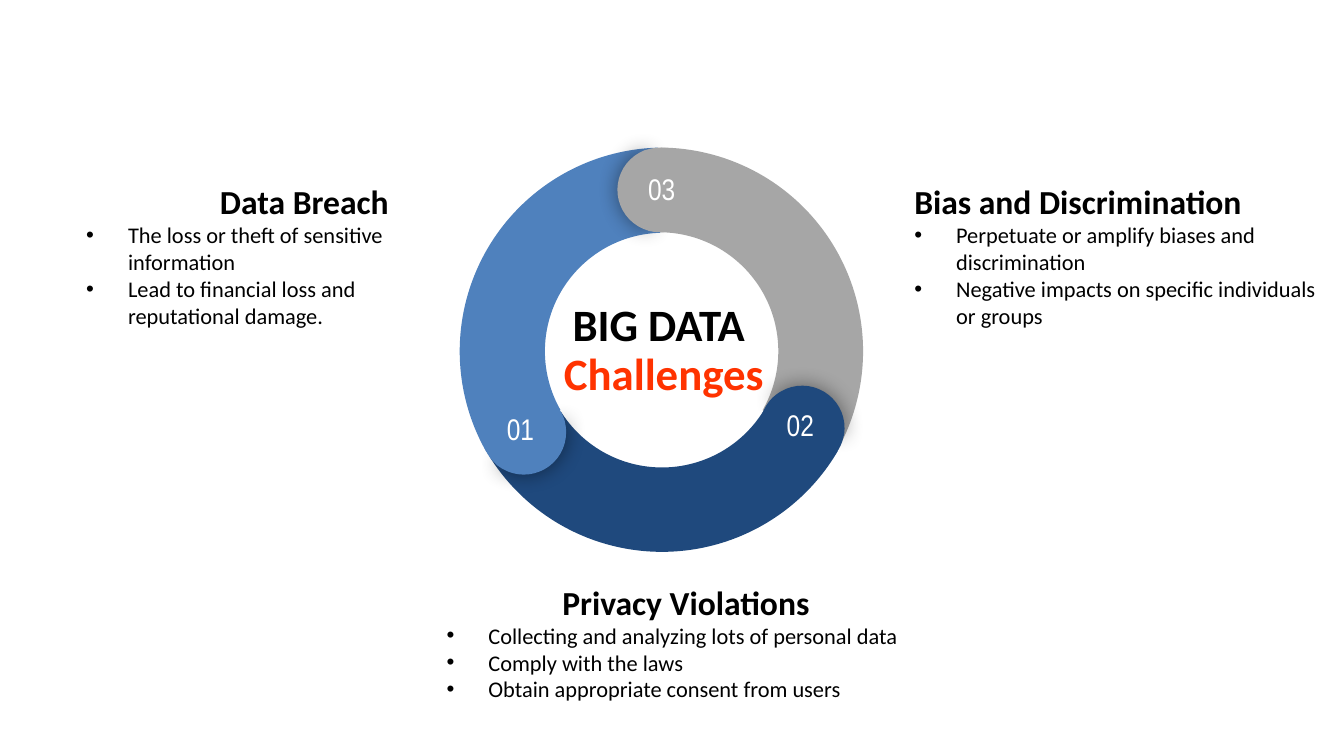
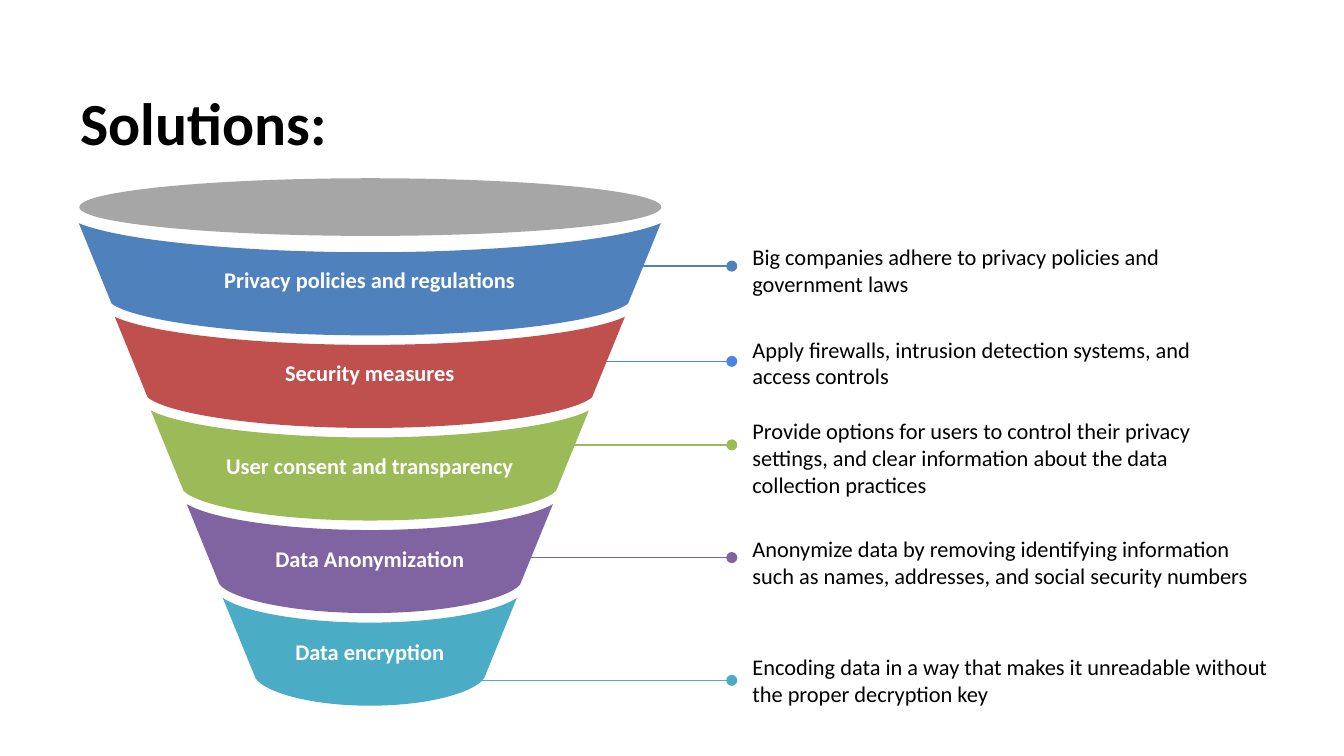
from copy import deepcopy
from typing import NamedTuple

from lxml import etree
from pptx import Presentation
from pptx.dml.color import RGBColor
from pptx.enum.shapes import MSO_CONNECTOR, MSO_SHAPE
from pptx.enum.text import MSO_ANCHOR, MSO_AUTO_SIZE, PP_ALIGN
from pptx.oxml.ns import qn
from pptx.util import Cm, Pt

ARC, PIE, OVAL = MSO_SHAPE.BLOCK_ARC, MSO_SHAPE.PIE, MSO_SHAPE.OVAL
STRAIGHT = MSO_CONNECTOR.STRAIGHT
TOP, MIDDLE, BOTTOM = MSO_ANCHOR.TOP, MSO_ANCHOR.MIDDLE, MSO_ANCHOR.BOTTOM
LEFT, CENTER, RIGHT = PP_ALIGN.LEFT, PP_ALIGN.CENTER, PP_ALIGN.RIGHT
NO_AUTOFIT = MSO_AUTO_SIZE.NONE
COMPARISON_LAYOUT, TITLE_LAYOUT = 4, 5

COLORS = {
    "black": "000000", "white": "FFFFFF", "gray": "A6A6A6", "navy": "1F497D",
    "blue": "4F81BD", "bright blue": "4A86E8", "red": "C0504D", "orange": "FF3300",
    "green": "9BBB59", "purple": "8064A2", "teal": "4BACC6",
}


# Records; all lengths in centimetres
class Box(NamedTuple):
    left: float
    top: float
    width: float
    height: float


class RingPart(NamedTuple):
    number: str
    color: str
    arc: Box
    arc_rotation: float
    arc_end: float
    thickness_percent: float
    cap: Box
    cap_rotation: float
    label: Box


class Challenge(NamedTuple):
    heading: str
    align: PP_ALIGN
    points: tuple
    box: Box


class Solution(NamedTuple):
    label: str
    color: str
    line_color: str
    line_start: float
    line_y: float
    note: str
    note_box: Box


RING = (
    RingPart("03 ", "gray", Box(8.61, 2.79, 7.7, 7.7), 60, 197.82, 20.8,
             Box(11.67, 2.79, 1.6, 1.6), 180, Box(11.86, 2.98, 1.42, 0.74)),
    RingPart("02 ", "navy", Box(8.66, 2.73, 7.7, 7.7), 180, 196.63, 20.7,
             Box(14.36, 7.29, 1.6, 1.6), 300, Box(14.48, 7.44, 1.42, 0.74)),
    RingPart("01 ", "blue", Box(8.69, 2.79, 7.7, 7.7), 300, 197.03, 20.9,
             Box(9.1, 7.37, 1.6, 1.6), 60, Box(9.19, 7.52, 1.42, 0.74)),
)
ARC_START = 126.22
SHADOWED_CAP, PLAIN_CAP = (61.9, 149.96), (40.28, 171.84)

CHALLENGES = (
    Challenge("Data Breach", RIGHT,
              ("The loss or theft of sensitive information",
               "Lead to financial loss and reputational damage."),
              Box(1.38, 3, 6.22, 3.63)),
    Challenge("Privacy Violations", CENTER,
              ("Collecting and analyzing lots of personal data",
               "Comply with the laws",
               "Obtain appropriate consent from users"),
              Box(8.19, 10.66, 9.55, 2.95)),
    Challenge("Bias and Discrimination", LEFT,
              ("Perpetuate or amplify biases and discrimination",
               "Negative impacts on specific individuals or groups"),
              Box(17.03, 3, 8.15, 3.63)),
)

NOTE_LEFT, LINE_END = 14.22, 13.83
SOLUTIONS = (
    Solution("Privacy policies and regulations", "blue", "blue", 10.62, 5.03,
             "Big companies adhere to privacy policies and government laws",
             Box(NOTE_LEFT, 4.47, 9.04, 1.27)),
    Solution("Security measures", "red", "bright blue", 10.13, 6.83,
             "Apply firewalls, intrusion detection systems, and access controls",
             Box(NOTE_LEFT, 6.22, 9.04, 1.27)),
    Solution("User consent and transparency", "green", "green", 9.45, 8.41,
             "Provide options for users to control their privacy settings, "
             "and clear information about the data collection practices",
             Box(NOTE_LEFT, 7.75, 9.35, 1.8)),
    Solution("Data Anonymization", "purple", "purple", 8.89, 10.54,
             "Anonymize data by removing identifying information such as names, "
             "addresses, and social security numbers",
             Box(NOTE_LEFT, 9.73, 9.47, 1.8)),
    Solution("Data encryption", "teal", "teal", 8.26, 12.86,
             "Encoding data in a way that makes it unreadable without "
             "the proper decryption key",
             Box(NOTE_LEFT, 12.22, 9.83, 1.27)),
)


# Shared helpers
def rgb(name: str) -> RGBColor:
    return RGBColor.from_string(COLORS[name])


def lengths(box: Box) -> list:
    return [Cm(value) for value in box]


def add_text(paragraph, text: str, *, size: float = 12, color: str = "black",
             bold: bool = False, font: str = "Calibri", align=LEFT,
             bullet: bool = False, spacing: float = 1.0):
    """Add a formatted run and set the paragraph's own format."""
    properties = paragraph._p.get_or_add_pPr()
    if bullet:
        properties.set("marL", str(Cm(0.79)))
        properties.set("indent", str(-Cm(0.79)))
        bullet_color = etree.SubElement(properties, qn("a:buClr"))
        etree.SubElement(bullet_color, qn("a:srgbClr"), val=COLORS["black"])
        etree.SubElement(properties, qn("a:buFont"), typeface="Arial")
        etree.SubElement(properties, qn("a:buChar"), char="•")
    elif properties.find(qn("a:buNone")) is None:
        properties.set("marL", "0")
        properties.set("indent", "0")
        etree.SubElement(properties, qn("a:buNone"))
    paragraph.alignment = align
    paragraph.line_spacing = spacing
    paragraph.space_before = paragraph.space_after = Pt(0)
    run = paragraph.add_run()
    run.text = text
    run.font.name, run.font.size, run.font.bold = font, Pt(size), bold
    run.font.color.rgb = rgb(color)
    return run


def set_frame(shape, anchor, side: float = 0.25, edge: float = 0.25):
    frame = shape.text_frame
    frame.word_wrap = True
    frame.auto_size = NO_AUTOFIT
    frame.vertical_anchor = anchor
    frame.margin_left = frame.margin_right = Cm(side)
    frame.margin_top = frame.margin_bottom = Cm(edge)
    return frame


def place(shape, box: Box) -> None:
    shape.left, shape.top, shape.width, shape.height = lengths(box)


def set_title(slide, box: Box):
    """Place the title and return its first paragraph."""
    title = slide.shapes.title
    place(title, box)
    return set_frame(title, BOTTOM, edge=0.13).paragraphs[0]


def add_text_box(slide, box: Box, text: str, anchor, margin: float, **text_format) -> None:
    text_box = slide.shapes.add_textbox(*lengths(box))
    frame = set_frame(text_box, anchor, margin, margin)
    add_text(frame.paragraphs[0], text, **text_format)


def paint(shape, color: str) -> None:
    shape.fill.solid()
    shape.fill.fore_color.rgb = rgb(color)
    shape.line.fill.background()
    shape.shadow.inherit = False


def add_filled(slide, kind, box: Box, color: str, rotation: float = 0,
               adjustments: tuple = ()):
    shape = slide.shapes.add_shape(kind, *lengths(box))
    shape.rotation = rotation % 360
    for index, value in enumerate(adjustments):
        shape.adjustments[index] = value
    paint(shape, color)
    return shape


def add_soft_shadow(shape) -> None:
    effects = shape._element.spPr.find(qn("a:effectLst"))
    shadow = etree.SubElement(effects, qn("a:outerShdw"), blurRad=str(Pt(11.2)),
                              dist="0", dir="0", algn="ctr", rotWithShape="0")
    color = etree.SubElement(shadow, qn("a:srgbClr"), val=COLORS["black"])
    etree.SubElement(color, qn("a:alpha"), val="43000")


def add_dotted_line(slide, start: float, end: float, y: float, color: str) -> None:
    """Draw a level line with a dot at each end."""
    connector = slide.shapes.add_connector(STRAIGHT, Cm(start), Cm(y), Cm(end), Cm(y))
    connector.line.color.rgb = rgb(color)
    connector.line.width = Pt(0.75)
    line = connector.get_or_add_ln()
    for end_name in ("a:headEnd", "a:tailEnd"):
        etree.SubElement(line, qn(end_name), type="oval")
    etree.SubElement(connector._element.spPr, qn("a:effectLst"))


# Funnel geometry
FUNNEL_CENTER, FUNNEL_TOP, FUNNEL_STEP = 6.99, 4.22, 1.77


def bend(segment, controls: tuple) -> None:
    """Turn a straight segment into a cubic curve with two control points."""
    segment.tag = qn("a:cubicBezTo")
    for index, (x, y) in enumerate(controls):
        point = etree.Element(qn("a:pt"), x=str(Cm(x)), y=str(Cm(y)))
        segment.insert(index, point)


def add_funnel_band(slide, index: int, solution: Solution) -> None:
    top = FUNNEL_TOP + index * FUNNEL_STEP
    half_top = 5.5 - 0.68 * index
    half_bottom = half_top - 0.62
    sag = 0.55 - 0.02 * index
    corner, bottom = 1.52, 2.12 - 0.02 * index
    shoulder = (corner + bottom) / 2

    # Corners, clockwise from the upper left; x is measured from the left edge
    middle, width = half_top, 2 * half_top
    inset = half_top - half_bottom
    corners = ((0, 0), (middle, sag), (width, 0), (width - inset, corner),
               (middle, bottom), (inset, corner), (0, 0))
    points = [(Cm(FUNNEL_CENTER - half_top + x), Cm(top + y)) for x, y in corners]
    builder = slide.shapes.build_freeform(*points[0])
    builder.add_line_segments(points[1:], close=True)
    band = builder.convert_to_shape()

    # Curved upper and lower edges
    upper = ((middle - 0.85 * half_top, 0.62 * sag), (middle - 0.42 * half_top, sag))
    lower = ((middle + 0.92 * half_bottom, shoulder), (middle + 0.53 * half_bottom, bottom))
    segments = list(band._element.iter(qn("a:lnTo")))
    for first, controls in ((0, upper), (3, lower)):
        mirrored = tuple((width - x, y) for x, y in reversed(controls))
        bend(segments[first], controls)
        bend(segments[first + 1], mirrored)

    paint(band, solution.color)
    frame = set_frame(band, MIDDLE, 0.18, 0.1)
    add_text(frame.paragraphs[0], solution.label, color="white", bold=True, align=CENTER)


# Slides
def build_challenges(presentation) -> None:
    slide = presentation.slides.add_slide(presentation.slide_layouts[COMPARISON_LAYOUT])

    # Title in the middle of the ring
    paragraph = set_title(slide, Box(10.08, 5.48, 4.93, 2.21))
    title_format = {"size": 24, "bold": True, "align": CENTER, "spacing": 0.9}
    run = add_text(paragraph, "BIG DATA ", **title_format)
    paragraph.add_line_break()
    paragraph._p.find(qn("a:br")).append(deepcopy(run._r.rPr))
    add_text(paragraph, "Challenges", color="orange", **title_format)

    # Lists around the ring
    bodies = list(slide.placeholders)[1:]
    for body, challenge in zip(bodies, CHALLENGES):
        place(body, challenge.box)
        frame = set_frame(body, MIDDLE)
        add_text(frame.paragraphs[0], challenge.heading, size=18, bold=True,
                 align=challenge.align)
        for point in challenge.points:
            add_text(frame.add_paragraph(), point, bullet=True)
    for body in bodies[len(CHALLENGES):]:
        body._element.getparent().remove(body._element)

    # Ring: arcs, then rounded caps, then numbers
    for part in RING:
        add_filled(slide, ARC, part.arc, part.color, part.arc_rotation,
                   (ARC_START, part.arc_end, part.thickness_percent / 100))
    for part in RING:
        shadowed = add_filled(slide, PIE, part.cap, part.color,
                              part.cap_rotation + 180.65, SHADOWED_CAP)
        add_soft_shadow(shadowed)
        add_filled(slide, PIE, part.cap, part.color, part.cap_rotation, PLAIN_CAP)
    for part in RING:
        add_text_box(slide, part.label, part.number, TOP, 0.25, size=16,
                     color="white", font="Arial Narrow", align=CENTER)


def build_solutions(presentation) -> None:
    slide = presentation.slides.add_slide(presentation.slide_layouts[TITLE_LAYOUT])
    paragraph = set_title(slide, Box(1.27, 1.75, 5.26, 1.37))
    add_text(paragraph, "Solutions:", size=32, bold=True, spacing=0.9)

    # Lines start behind the funnel
    for solution in SOLUTIONS:
        add_dotted_line(slide, solution.line_start, LINE_END, solution.line_y,
                        solution.line_color)
    for index, solution in enumerate(SOLUTIONS):
        add_funnel_band(slide, index, solution)
        add_text_box(slide, solution.note_box, solution.note, MIDDLE, 0)
    add_filled(slide, OVAL, Box(1.5, 3.37, 11, 1.09), "gray")


def main() -> None:
    presentation = Presentation()
    presentation.slide_width, presentation.slide_height = Cm(25.4), Cm(14.29)
    build_challenges(presentation)
    build_solutions(presentation)
    presentation.save("out.pptx")


if __name__ == "__main__":
    main()
